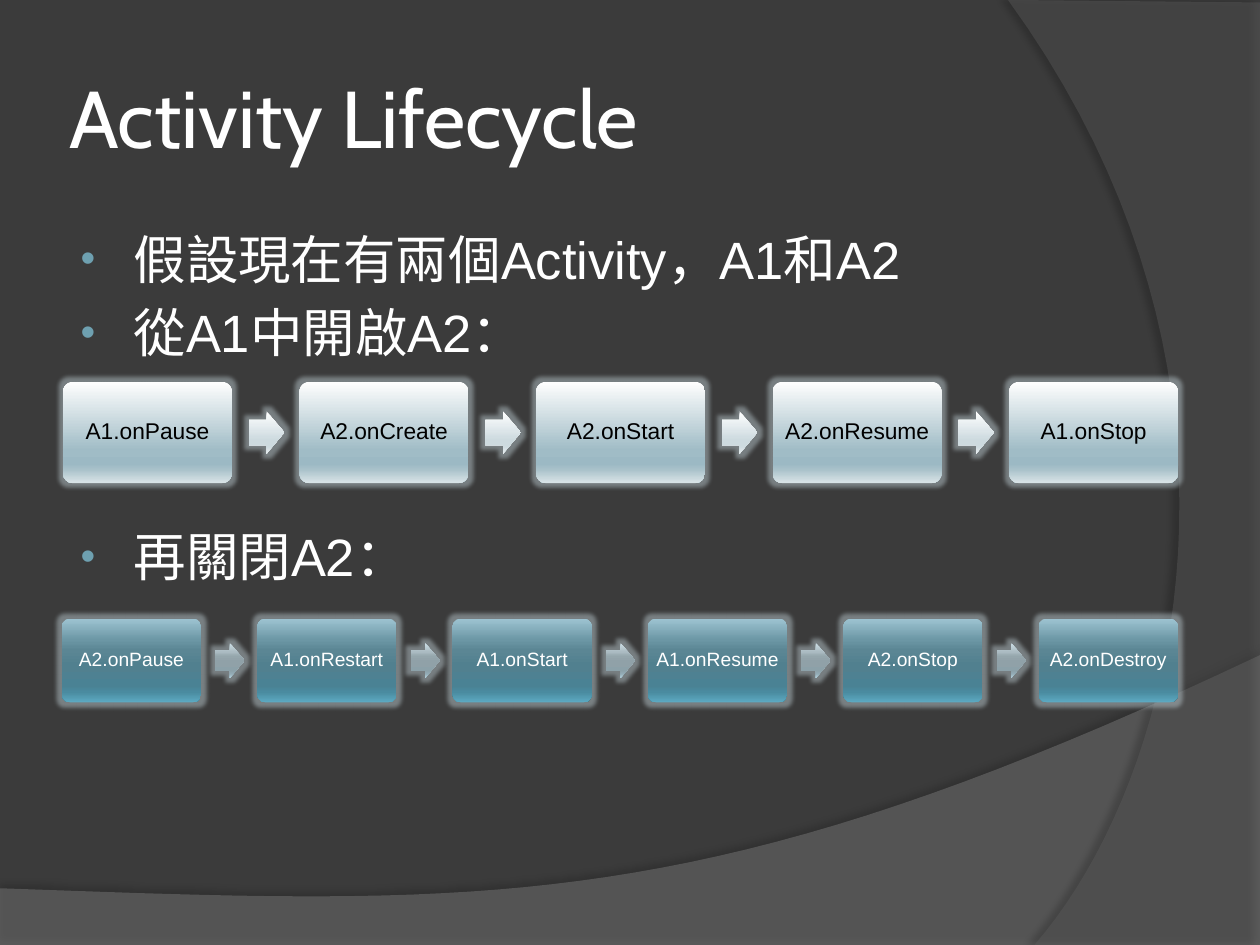
from dataclasses import dataclass

from pptx import Presentation
from pptx.dml.color import RGBColor
from pptx.enum.shapes import MSO_SHAPE
from pptx.enum.text import MSO_ANCHOR, MSO_AUTO_SIZE, PP_ALIGN
from pptx.oxml import parse_xml
from pptx.oxml.ns import nsdecls
from pptx.util import Inches, Pt

ROUND_BOX, ARROW = MSO_SHAPE.ROUNDED_RECTANGLE, MSO_SHAPE.RIGHT_ARROW
LEFT, CENTER = PP_ALIGN.LEFT, PP_ALIGN.CENTER
TOP, MIDDLE = MSO_ANCHOR.TOP, MSO_ANCHOR.MIDDLE
NO_FIT = MSO_AUTO_SIZE.NONE

# The slide is a grid of 100 columns by 75 rows
COLS, ROWS = 100, 75
CELL = Inches(0.1)


@dataclass(frozen=True)
class Theme:
    back: str = "3B3B3B"
    swoosh: str = "7F7F7F"
    side: str = "5E5E5E"
    shadow: str = "000000"
    text: str = "FFFFFF"
    dark_text: str = "000000"
    bullet: str = "6EA0B0"
    glow: str = "C4D4DA"
    title_font: str = "Cabin"
    body_font: str = "Arial"
    title_size: int = 46
    body_size: int = 30
    open_size: int = 13
    close_size: int = 11
    light_box: tuple = ((0, "FEFEFE"), (68, "A0BCC6"), (81, "9CB9C4"),
                        (86, "A7C0C9"), (100, "DAE4E7"))
    light_arrow: tuple = ((0, "FEFFFF"), (68, "CDDADF"), (81, "CBD9DE"),
                          (86, "D0DCE1"), (100, "EAEFF1"))
    teal_box: tuple = ((0, "9EC4D2"), (25, "6C97A5"), (38, "5B8694"), (55, "51808F"),
                       (80, "4A8294"), (88, "4A8BA0"), (100, "5DAAC2"))
    teal_arrow: tuple = ((0, "CCDEE5"), (25, "ACBCC3"), (38, "95A6AC"), (55, "90A1A8"),
                         (80, "8CA1A9"), (88, "92AAB4"), (100, "B4D0DC"))


THEME = Theme()


def grid(*values):
    return [round(v * CELL) for v in values]


def color(hex_value, alpha):
    return f'<a:srgbClr val="{hex_value}"><a:alpha val="{alpha * 1000}"/></a:srgbClr>'


def element(tag, inner, attrs=""):
    return parse_xml(f'<a:{tag} {nsdecls("a")} {attrs}>{inner}</a:{tag}>')


def paint(sp, fill, effect):
    """Give a shape a fill and an effect, and no outline."""
    sp_pr = sp._element.spPr
    sp_pr.append(fill)
    sp.line.fill.background()
    sp_pr.append(element("effectLst", effect))


def gradient(stops):
    inner = "".join(f'<a:gs pos="{pos * 1000}"><a:srgbClr val="{c}"/></a:gs>'
                    for pos, c in stops)
    return element("gradFill", f'<a:gsLst>{inner}</a:gsLst><a:lin ang="5400000" scaled="0"/>',
                   'rotWithShape="1"')


def add_text(tf, text, first=True, font=THEME.body_font, size=THEME.body_size,
             rgb=THEME.text, align=LEFT, before=0, spacing=1.0):
    p = tf.paragraphs[0] if first else tf.add_paragraph()
    p.alignment, p.space_before, p.line_spacing = align, Pt(before), spacing
    r = p.add_run()
    r.text = text
    r.font.name, r.font.size = font, Pt(size)
    r.font.color.rgb = RGBColor.from_string(rgb)
    return p


def set_frame(tf, anchor, wrap=True):
    tf.auto_size, tf.word_wrap, tf.vertical_anchor = NO_FIT, wrap, anchor


def place(sp, box):
    sp.left, sp.top, sp.width, sp.height = grid(*box)


def bezier(p0, p1, p2, p3, steps=40):
    for i in range(1, steps + 1):
        t = i / steps
        u = 1 - t
        yield tuple(u**3 * a + 3 * u * u * t * b + 3 * u * t * t * c + t**3 * d
                    for a, b, c, d in zip(p0, p1, p2, p3))


def backdrop(s):
    """Two translucent curved panels behind everything else."""
    panels = (
        ([(0, 70.5), (0, ROWS), (COLS, ROWS), (COLS, 52)],
         [(55.9, 72.9), (39.1, 71.9), (0, 70.5)], THEME.swoosh, 45, 35, 3.5, 270),
        ([(COLS, 0.2), (COLS, ROWS), (82.1, ROWS)],
         [(93.5, 61.9), (101.8, 30), (80, 0)], THEME.side, 40, 45, 4, 180),
    )
    for i, (corners, curve, rgb, alpha, shade, dist, angle) in enumerate(panels):
        points = corners + list(bezier(corners[-1], *curve))
        builder = s.shapes.build_freeform(*grid(*points[0]))
        builder.add_line_segments([grid(*pt) for pt in points[1:]], close=True)
        sp = builder.convert_to_shape()
        shadow = (f'<a:outerShdw blurRad="{Pt(4)}" dist="{Pt(dist)}" dir="{angle * 60000}">'
                  f'{color(THEME.shadow, shade)}</a:outerShdw>')
        paint(sp, element("solidFill", color(rgb, alpha)), shadow)
        s.shapes._spTree.insert(2 + i, sp._element)


def title(sp, box, text):
    place(sp, box)
    tf = sp.text_frame
    set_frame(tf, MIDDLE)
    tf.margin_left = tf.margin_right = Inches(0.05)
    add_text(tf, text, font=THEME.title_font, size=THEME.title_size)


def bullets(sp, box, items):
    """Fill the body with (text, space before) items."""
    place(sp, box)
    tf = sp.text_frame
    set_frame(tf, TOP)
    for i, (text, before) in enumerate(items):
        p_pr = add_text(tf, text, first=i == 0, before=before)._p.get_or_add_pPr()
        p_pr.set("marL", str(Inches(0.46)))
        p_pr.set("indent", str(Inches(-0.42)))
        p_pr.append(element("buClr", f'<a:srgbClr val="{THEME.bullet}"/>'))
        p_pr.append(element("buSzPct", "", 'val="80000"'))
        p_pr.append(element("buFont", "", f'typeface="{THEME.body_font}"'))
        p_pr.append(element("buChar", "", 'char="•"'))


def chain(s, box, steps, box_stops, arrow_stops, size, rgb):
    """A row of step boxes joined by arrows; every length follows the step width."""
    left, top, width = box
    w = width / (1.4 * len(steps) - 0.4)
    h = 0.6 * w
    arrow_w, arrow_h = 0.21 * w, 0.25 * w
    glow = f'<a:glow rad="{Pt(5)}">{color(THEME.glow, 45)}</a:glow>'
    shapes = s.shapes.add_group_shape().shapes
    for i, step in enumerate(steps):
        x = left + 1.4 * w * i
        sp = shapes.add_shape(ROUND_BOX, *grid(x, top, w, h))
        sp.adjustments[0] = 0.1
        paint(sp, gradient(box_stops), glow)
        set_frame(sp.text_frame, MIDDLE, wrap=False)
        add_text(sp.text_frame, step, size=size, rgb=rgb, align=CENTER, spacing=0.9)
        if i < len(steps) - 1:
            sp = shapes.add_shape(ARROW, *grid(x + 1.1 * w, top + (h - arrow_h) / 2,
                                               arrow_w, arrow_h))
            sp.adjustments[0], sp.adjustments[1] = 0.6, 0.5
            paint(sp, gradient(arrow_stops), glow)


def main():
    prs = Presentation()
    prs.slide_width, prs.slide_height = grid(COLS, ROWS)
    s = prs.slides.add_slide(prs.slide_layouts[1])
    s.background.fill.solid()
    s.background.fill.fore_color.rgb = RGBColor.from_string(THEME.back)

    backdrop(s)
    title(s.shapes.title, (5, 3, 81.7, 12.5), "Activity Lifecycle")
    # The wide space before the last item leaves room for the first chain
    bullets(s.placeholders[1], (5, 17.5, 81.7, 49.5),
            [("假設現在有兩個Activity，A1和A2", 6), ("從A1中開啟A2：", 6), ("再關閉A2：", 92)])

    # Opening A2 from A1
    chain(s, (5, 30.3, 88.5),
          ["A1.onPause", "A2.onCreate", "A2.onStart", "A2.onResume", "A1.onStop"],
          THEME.light_box, THEME.light_arrow, THEME.open_size, THEME.dark_text)
    # Closing A2 again
    chain(s, (4.9, 49.1, 88.6),
          ["A2.onPause", "A1.onRestart", "A1.onStart", "A1.onResume", "A2.onStop",
           "A2.onDestroy"],
          THEME.teal_box, THEME.teal_arrow, THEME.close_size, THEME.text)

    prs.save("out.pptx")


if __name__ == "__main__":
    main()
